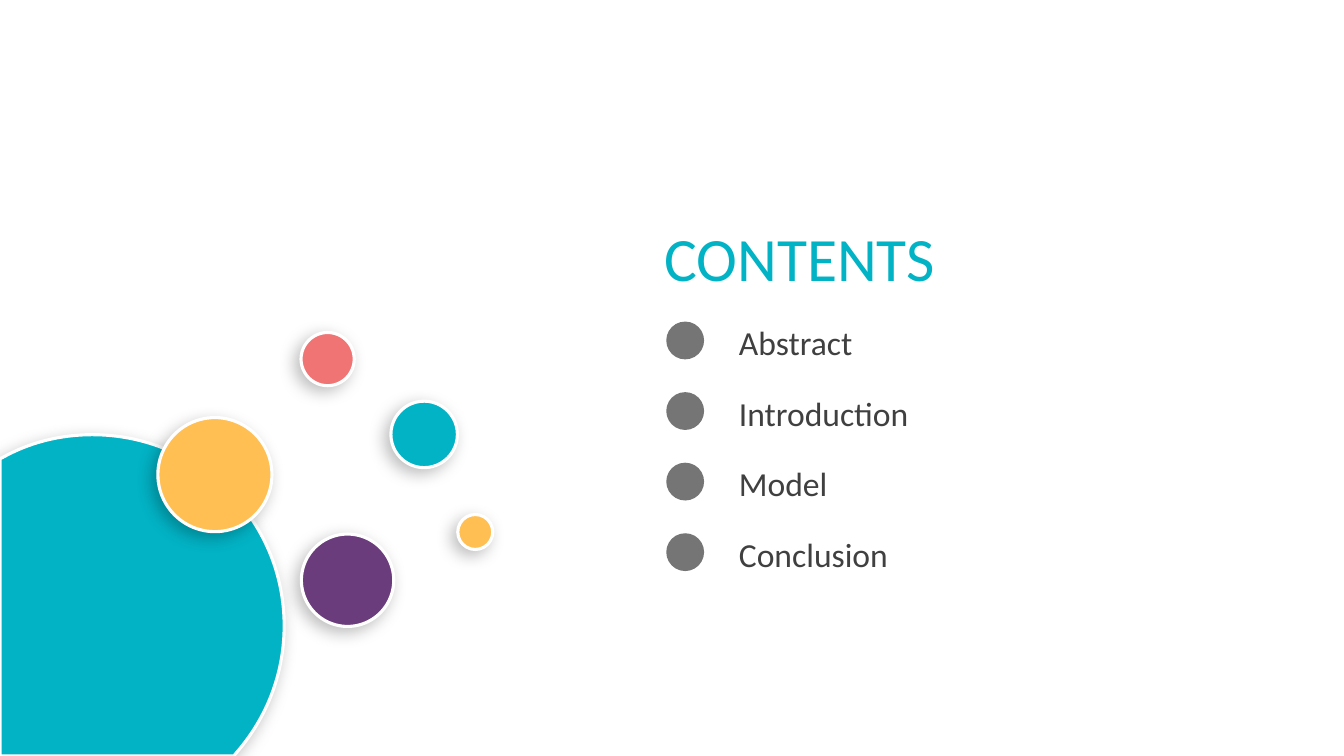
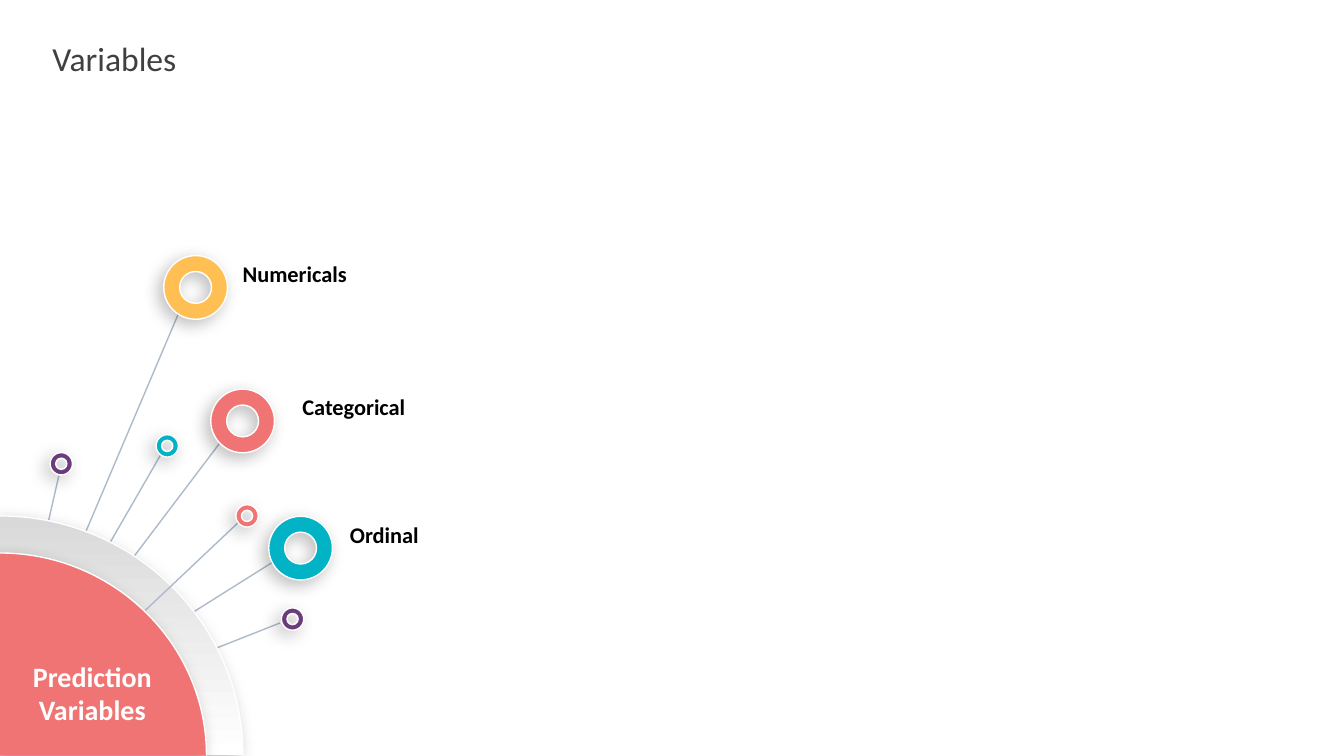
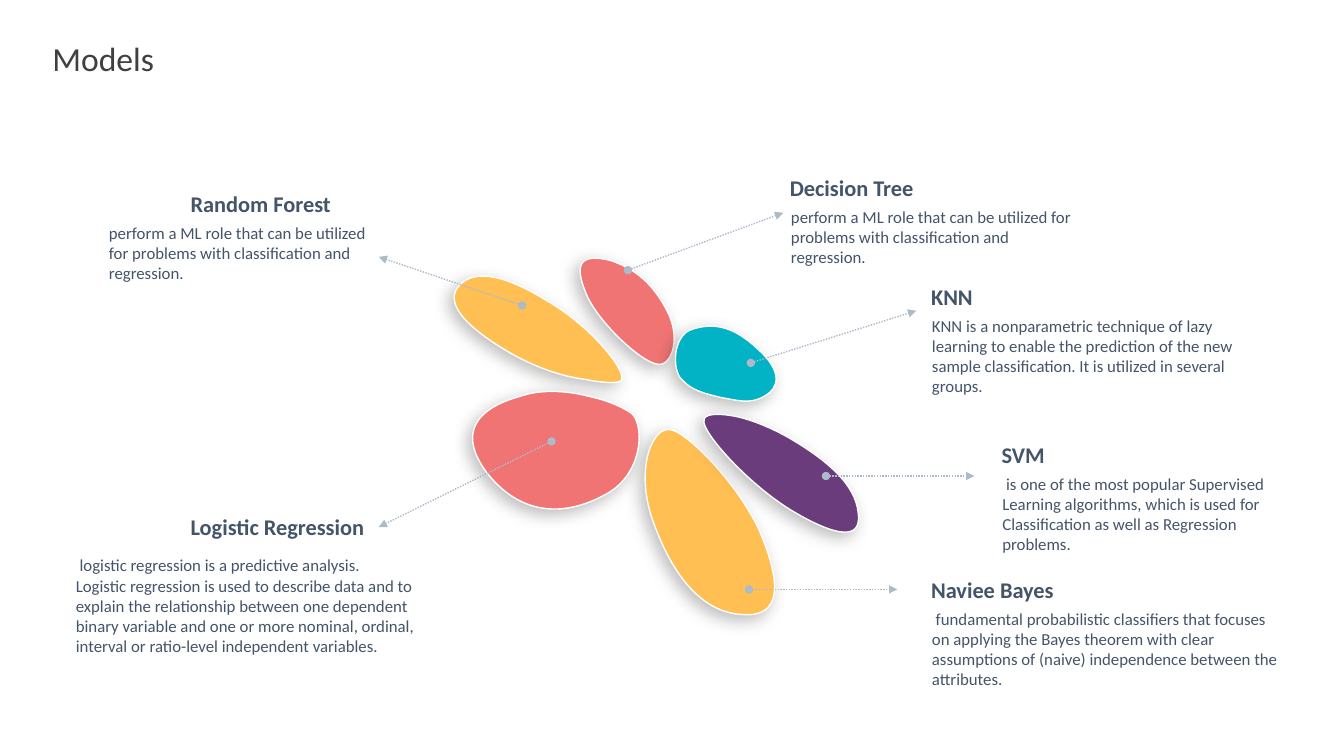
from copy import deepcopy
from dataclasses import dataclass

from pptx import Presentation
from pptx.dml.color import RGBColor
from pptx.enum import dml, shapes, text
from pptx.oxml import parse_xml
from pptx.oxml.ns import nsdecls, qn
from pptx.util import Pt


@dataclass(frozen=True)
class Theme:
    font: str = "Calibri"
    teal: str = "02B3C5"
    purple: str = "6A3C7C"
    amber: str = "FFBF53"
    coral: str = "F07474"
    dark: str = "404040"
    slate: str = "445469"
    line: str = "ADBACA"
    white: str = "FFFFFF"
    silver: str = "D9D9D9"
    black: str = "000000"
    display: int = 44
    title: int = 24
    hub: int = 20
    heading: int = 16
    body: int = 12


T = Theme()
WIDTH, HEIGHT = 960, 540
BOX_INSETS = (7.2, 3.6)


def rgb(value):
    return RGBColor.from_string(value)


def add_xml(parent, xml):
    """Append a DrawingML element, given without its namespace declaration."""
    tag, rest = xml.split(" ", 1)
    parent.append(parse_xml(f"{tag} {nsdecls('a')} {rest}"))


def add_text(slide, x, y, w, h, words, size, color, bold=False,
             insets=(0, 0), align=text.PP_ALIGN.LEFT):
    tf = slide.shapes.add_textbox(Pt(x), Pt(y), Pt(w), Pt(h)).text_frame
    tf.word_wrap = True
    tf.auto_size = text.MSO_AUTO_SIZE.SHAPE_TO_FIT_TEXT
    tf.margin_left = tf.margin_right = Pt(insets[0])
    tf.margin_top = tf.margin_bottom = Pt(insets[1])
    p = tf.paragraphs[0]
    p.text = words
    p.alignment = align
    p.font.name, p.font.size, p.font.bold = T.font, Pt(size), bold
    p.font.color.rgb = rgb(color)


def add_title(slide, words):
    add_text(slide, 30.4, 23.4, 335, 36, words, T.title, T.dark, insets=BOX_INSETS)


def raise_shape(sp, color, line_width=1):
    """Give a shape its fill, white rim and soft shadow."""
    sp.fill.solid()
    sp.fill.fore_color.rgb = rgb(color)
    sp.line.color.rgb = rgb(T.white)
    sp.line.width = Pt(line_width)
    sp.shadow.inherit = False
    add_xml(sp.element.spPr.find(qn("a:effectLst")),
            f'<a:outerShdw blurRad="{Pt(12)}" dist="{Pt(5)}" dir="8100000" '
            'algn="tr" rotWithShape="0"><a:srgbClr val="000000">'
            '<a:alpha val="26000"/></a:srgbClr></a:outerShdw>')


def add_round(slide, preset, cx, cy, size):
    return slide.shapes.add_shape(preset, Pt(cx - size / 2), Pt(cy - size / 2),
                                  Pt(size), Pt(size))


def outline_of(sp):
    return next(sp.element.iter(qn("a:path")))


def add_curve(slide, nodes, corners=()):
    """Draw a closed outline: a start, Bézier triples, then straight corners."""
    vertices = [(Pt(x), Pt(y)) for x, y in [*nodes, *corners]]
    builder = slide.shapes.build_freeform(*vertices[0])
    builder.add_line_segments(vertices[1:], close=True)
    sp = builder.convert_to_shape()
    segments = outline_of(sp).findall(qn("a:lnTo"))[:len(nodes) - 1]
    for i in range(0, len(segments), 3):
        triple = segments[i:i + 3]
        curve = parse_xml(f"<a:cubicBezTo {nsdecls('a')}/>")
        triple[0].addprevious(curve)
        for segment in triple:
            curve.append(segment[0])
            segment.getparent().remove(segment)
    return sp


def add_line(slide, start, end, arrow=False):
    line = slide.shapes.add_connector(
        shapes.MSO_CONNECTOR.STRAIGHT, *(Pt(v) for v in (*start, *end)))
    line.line.color.rgb = rgb(T.line)
    line.line.width = Pt(1)
    spPr = line.element.spPr
    if arrow:
        line.line.dash_style = dml.MSO_LINE.ROUND_DOT
        ln = spPr.find(qn("a:ln"))
        add_xml(ln, '<a:headEnd type="oval"/>')
        add_xml(ln, '<a:tailEnd type="triangle"/>')
    add_xml(spPr, "<a:effectLst />")


# Contents

CUT_DISC = [(1.5, 327), (21, 316), (43, 310.5), (66, 310.5), (142, 310.5),
            (203, 371.5), (203, 447), (203, 480), (191.5, 510), (172, 534)]
CUT_CORNERS = [(167, HEIGHT), (0, HEIGHT), (0, 327.5)]
BUBBLES = [  # centre x, centre y, diameter, colour
    (248.3, 414.5, 66, T.purple),
    (303, 310.3, 47.5, T.teal),
    (153.5, 339, 81.5, T.amber),
    (234, 256.5, 38, T.coral),
    (339.5, 380, 25, T.amber),
]


def bubble_cluster(slide):
    raise_shape(add_curve(slide, CUT_DISC, CUT_CORNERS), T.teal, 2.25)
    for x, y, size, color in BUBBLES:
        raise_shape(add_round(slide, shapes.MSO_SHAPE.OVAL, x, y, size), color, 2.25)


def contents_list(slide, x, y, items, pitch=50.4):
    for i, item in enumerate(items):
        top = y + 73 + i * pitch
        add_text(slide, x + 53.3, top, 335, 36, item, T.title, T.dark, insets=BOX_INSETS)
        dot = add_round(slide, shapes.MSO_SHAPE.OVAL, x + 22, top + 16.7, 27)
        dot.fill.solid()
        dot.fill.fore_color.rgb = rgb(T.dark)
        add_xml(dot.element.spPr.find(qn("a:solidFill"))[0], '<a:alpha val="72000"/>')
        dot.line.fill.background()
        dot.shadow.inherit = False
    add_text(slide, x, y, 271, 60, "CONTENTS", T.display, T.teal, insets=BOX_INSETS)


def contents_slide(slide):
    bubble_cluster(slide)
    contents_list(slide, 467.4, 153.5,
                  ["Abstract", "Introduction", "Model", "Conclusion"])


# Variables

HUB = (0, 524)
BIG, SMALL = 45.5, 16
RINGS = [  # centre, diameter, colour, start of spoke
    ((119.5, 318.5), SMALL, T.teal, (115, 324.5)),
    ((209, 442.2), SMALL, T.purple, (200, 445)),
    ((43.8, 331.3), SMALL, T.purple, (42, 340)),
    ((139.7, 205.3), BIG, T.amber, (129, 220.5)),
    ((173.3, 300.7), BIG, T.coral, (160, 312.5)),
    ((214.7, 391.5), BIG, T.teal, (196.5, 400.5)),
]
FRONT_RING = ((176.5, 368.5), SMALL, T.coral, (171.5, 372))
RING_LABELS = [
    (173.3, 185.5, "Numericals"),
    (212.4, 281, " Categorical"),
    (250, 372, "Ordinal"),
]


def quarter_disc(slide, rx, ry, color):
    """A sector in the lower left corner, with a rim on its arc only."""
    k = 0.55
    bottom = HEIGHT - 0.5
    top = bottom - ry
    sp = add_curve(slide, [(0, top), (k * rx, top), (rx, bottom - k * ry), (rx, bottom)],
                   [(0, bottom)])
    raise_shape(sp, color)
    area = outline_of(sp)
    rim = deepcopy(area)
    for part in rim[2:]:
        rim.remove(part)
    rim.set("fill", "none")
    area.set("stroke", "0")
    area.addprevious(rim)
    return sp


def hub_and_rings(slide):
    for ring in RINGS:
        add_line(slide, ring[3], HUB)
    band = quarter_disc(slide, 173.5, 171, T.silver)
    band.fill.gradient()
    band.fill.gradient_angle = 90
    for stop, color in zip(band.fill.gradient_stops, (T.white, T.silver)):
        stop.color.rgb = rgb(color)
    add_line(slide, FRONT_RING[3], (0, 534))
    quarter_disc(slide, 147.5, 144.5, T.coral)
    add_text(slide, 4.8, 467.3, 122.4, 55.5, "Prediction Variables", T.hub, T.white,
             bold=True, insets=BOX_INSETS, align=text.PP_ALIGN.CENTER)
    for center, size, color, _ in RINGS + [FRONT_RING]:
        ring = add_round(slide, shapes.MSO_SHAPE.DONUT, *center, size)
        ring.adjustments[0] = 0.25
        raise_shape(ring, color)


def variables_slide(slide):
    add_title(slide, "Variables")
    hub_and_rings(slide)
    for x, y, label in RING_LABELS:
        add_text(slide, x, y, 154, 19.5, label, T.heading, T.black, bold=True)


# Models

PETALS = [  # colour, curve nodes measured from the corner of the flower
    (T.amber, [(163, 126), (151, 123), (138, 151), (149, 187), (163, 229), (185, 257),
               (215, 258), (242, 260), (243, 236), (226, 197), (210, 163), (174, 127)]),
    (T.purple, [(187, 119), (184, 126), (217, 164), (250, 184), (282, 203), (300, 205),
                (297, 185), (295, 166), (277, 149), (248, 132), (234, 124), (219, 118),
                (207, 116), (195, 114), (187, 115)]),
    (T.coral, [(153, 79), (163, 82), (171, 62), (161, 42), (151, 22), (138, 11),
               (120, 5), (99, 0), (94, 7), (102, 27), (109, 47), (141, 77)]),
    (T.amber, [(128, 90), (131, 83), (106, 52), (75, 34), (46, 16), (24, 11),
               (13, 22), (0, 34), (15, 52), (50, 72), (68, 82), (86, 88),
               (102, 90), (117, 93), (128, 93)]),
    (T.teal, [(171, 90), (178, 98), (187, 100), (199, 103), (211, 105), (220, 108),
              (230, 102), (241, 96), (243, 84), (225, 68), (209, 53), (195, 49),
              (179, 54), (164, 58), (164, 84)]),
    (T.coral, [(136, 115), (131, 111), (119, 105), (104, 102), (89, 98), (70, 97),
               (56, 102), (23, 111), (11, 129), (32, 157), (55, 186), (85, 189),
               (115, 173), (142, 160), (145, 126)]),
]
CALLOUTS = [  # heading place, body offset, body width, arrow, heading, body
    ((136.2, 136), (-58.4, 23), 193, ((373, 218.2), (270.5, 183.5)), "Random Forest",
     "perform a ML role that can be utilized for problems with classification "
     "and regression."),
    ((136.2, 366.5), (-82, 30), 243.5, ((394, 315.3), (270.5, 376.5)),
     "Logistic Regression",
     " logistic regression is a predictive analysis.\vLogistic regression is used to "
     "describe data and to explain the relationship between one dependent binary "
     "variable and one or more nominal, ordinal, interval or ratio-level independent "
     "variables."),
    ((564.2, 124.5), (0.8, 23), 212, ((448.5, 193), (559.5, 152)), "Decision Tree",
     "perform a ML role that can be utilized for problems with classification "
     "and regression."),
    ((665.1, 202.4), (0.6, 23), 220, ((536.3, 259.2), (654.5, 222)), "KNN",
     "KNN is a nonparametric technique of lazy learning to enable the prediction of "
     "the new sample classification. It is utilized in several groups."),
    ((665.1, 411.7), (0.6, 23), 248.5, ((535, 421), (641, 421)), "Naviee Bayes",
     " fundamental probabilistic classifiers that focuses on applying the Bayes "
     "theorem with clear assumptions of (naive) independence between the attributes."),
    ((715.5, 315.2), (0.5, 23), 205, ((590, 340), (696, 340)), "SVM",
     " is one of the most popular Supervised Learning algorithms, which is used for "
     "Classification as well as Regression problems."),
]


def flower(slide, x, y):
    for color, nodes in PETALS:
        placed = [(x + dx, y + dy) for dx, dy in nodes + nodes[:1]]
        raise_shape(add_curve(slide, placed), color)


def callout(slide, place, offset, width, arrow, heading, body):
    x, y = place
    add_line(slide, *arrow, arrow=True)
    add_text(slide, x, y, 152, 19.5, heading, T.heading, T.slate, bold=True)
    add_text(slide, x + offset[0], y + offset[1], width, 58, body, T.body, T.slate)


def models_slide(slide):
    add_title(slide, "Models")
    flower(slide, 316, 181)
    for parts in CALLOUTS:
        callout(slide, *parts)


def main():
    prs = Presentation()
    prs.slide_width, prs.slide_height = Pt(WIDTH), Pt(HEIGHT)
    for build in (contents_slide, variables_slide, models_slide):
        build(prs.slides.add_slide(prs.slide_layouts[6]))
    prs.save("out.pptx")


if __name__ == "__main__":
    main()
